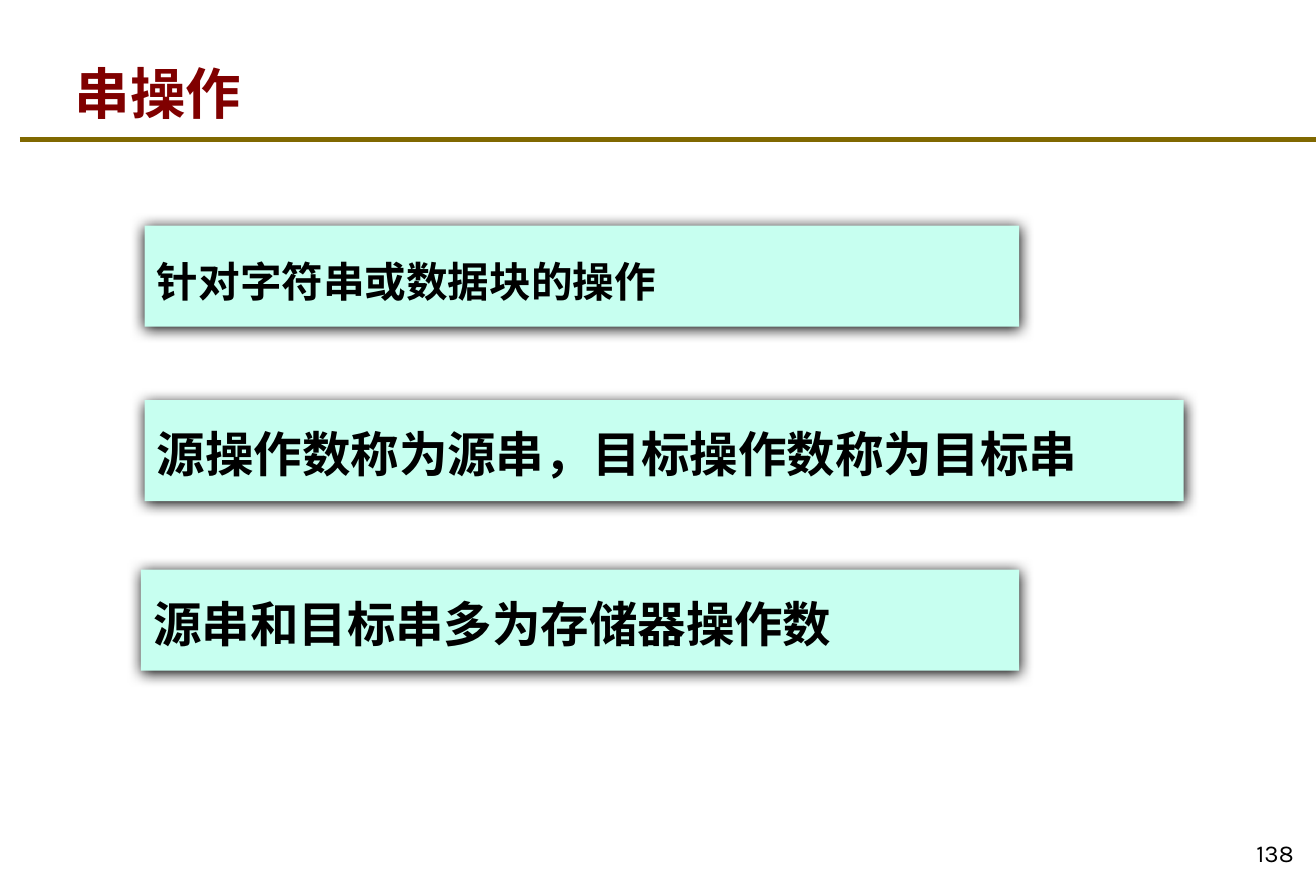
from dataclasses import dataclass

from lxml import etree
from pptx import Presentation
from pptx.dml.color import RGBColor
from pptx.enum.shapes import MSO_CONNECTOR, MSO_SHAPE
from pptx.enum.text import MSO_ANCHOR, PP_ALIGN
from pptx.oxml.ns import qn
from pptx.util import Pt

RECTANGLE = MSO_SHAPE.RECTANGLE
STRAIGHT = MSO_CONNECTOR.STRAIGHT
MIDDLE, BOTTOM = MSO_ANCHOR.MIDDLE, MSO_ANCHOR.BOTTOM
LEFT, RIGHT = PP_ALIGN.LEFT, PP_ALIGN.RIGHT


@dataclass(frozen=True)
class Theme:
    title_color: RGBColor = RGBColor(0x80, 0x00, 0x00)
    rule_color: RGBColor = RGBColor(0x80, 0x68, 0x00)
    panel_color: RGBColor = RGBColor(0xC7, 0xFF, 0xF0)
    text_color: RGBColor = RGBColor(0x00, 0x00, 0x00)
    chinese_font: str = "Noto Sans CJK SC"
    number_font: str = "Karla"
    title_size: int = 32
    lead_size: int = 24
    point_size: int = 28
    number_size: int = 14


THEME = Theme()
PAGE_WIDTH, PAGE_HEIGHT = 759.6, 510.5
PANEL_HEIGHT = 58.3

# Left, top, width, type size, line spacing, text
PANELS = (
    (83.5, 130.3, 504.7, THEME.lead_size, 1.2, "针对字符串或数据块的操作"),
    (83.5, 231.1, 599.8, THEME.point_size, 1.1, "源操作数称为源串，目标操作数称为目标串"),
    (81.4, 329, 506.9, THEME.point_size, 1.1, "源串和目标串多为存储器操作数"),
)


def write(frame, text, size, color, font, bold=False, anchor=BOTTOM, align=LEFT):
    """Put one styled paragraph into a text frame."""
    frame.word_wrap = True
    frame.vertical_anchor = anchor
    frame.text = text
    para = frame.paragraphs[0]
    para.alignment = align
    span = para.runs[0]
    span.font.size = Pt(size)
    span.font.bold = bold
    span.font.color.rgb = color
    span.font.name = font
    etree.SubElement(span.font._element, qn("a:ea"), typeface=font)
    return para


def add_text(page, left, top, width, height, *args, **style):
    box = page.shapes.add_textbox(Pt(left), Pt(top), Pt(width), Pt(height))
    write(box.text_frame, *args, **style)


def add_rule(page, left, top, right):
    rule = page.shapes.add_connector(STRAIGHT, Pt(left), Pt(top), Pt(right), Pt(top))
    rule.line.color.rgb = THEME.rule_color
    rule.line.width = Pt(3)
    etree.SubElement(rule._element.spPr, qn("a:effectLst"))


def add_soft_shadow(shape):
    shape.shadow.inherit = False
    effects = shape._element.spPr.find(qn("a:effectLst"))
    shadow = etree.SubElement(
        effects, qn("a:outerShdw"), blurRad=str(Pt(8.5)), dist=str(Pt(1)),
        dir="5400000", algn="ctr", rotWithShape="0",
    )
    etree.SubElement(shadow, qn("a:srgbClr"), val=str(THEME.text_color))


def add_panel(page, left, top, width, size, spacing, text):
    panel = page.shapes.add_shape(
        RECTANGLE, Pt(left), Pt(top), Pt(width), Pt(PANEL_HEIGHT))
    panel.fill.solid()
    panel.fill.fore_color.rgb = THEME.panel_color
    panel.line.fill.background()
    add_soft_shadow(panel)
    frame = panel.text_frame
    frame.margin_top = frame.margin_bottom = Pt(8.6)
    para = write(frame, text, size, THEME.text_color, THEME.chinese_font,
                 bold=True, anchor=MIDDLE)
    para.line_spacing = spacing


def main():
    deck = Presentation()
    deck.slide_width, deck.slide_height = Pt(PAGE_WIDTH), Pt(PAGE_HEIGHT)
    page = deck.slides.add_slide(deck.slide_layouts[6])

    # Heading
    add_rule(page, 11.5, 80.6, PAGE_WIDTH)
    add_text(page, 36, 21.6, 647.3, 54.7, "串操作", THEME.title_size,
             THEME.title_color, THEME.chinese_font, bold=True)

    # Key points
    for panel in PANELS:
        add_panel(page, *panel)

    # Page number
    add_text(page, 707.8, 470.9, 46.1, 33.8, "138", THEME.number_size,
             THEME.text_color, THEME.number_font, align=RIGHT)

    deck.save("out.pptx")


if __name__ == "__main__":
    main()
